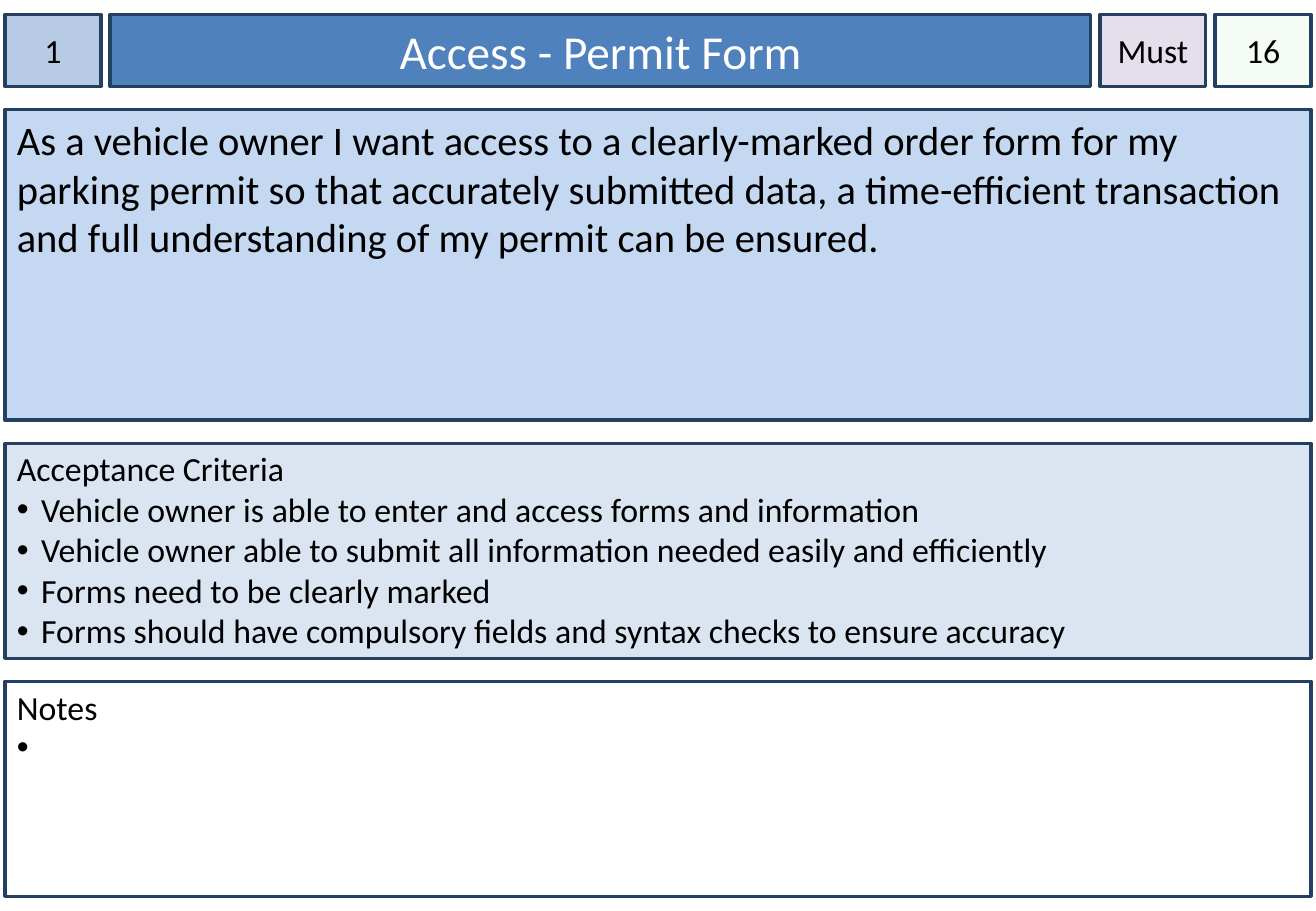
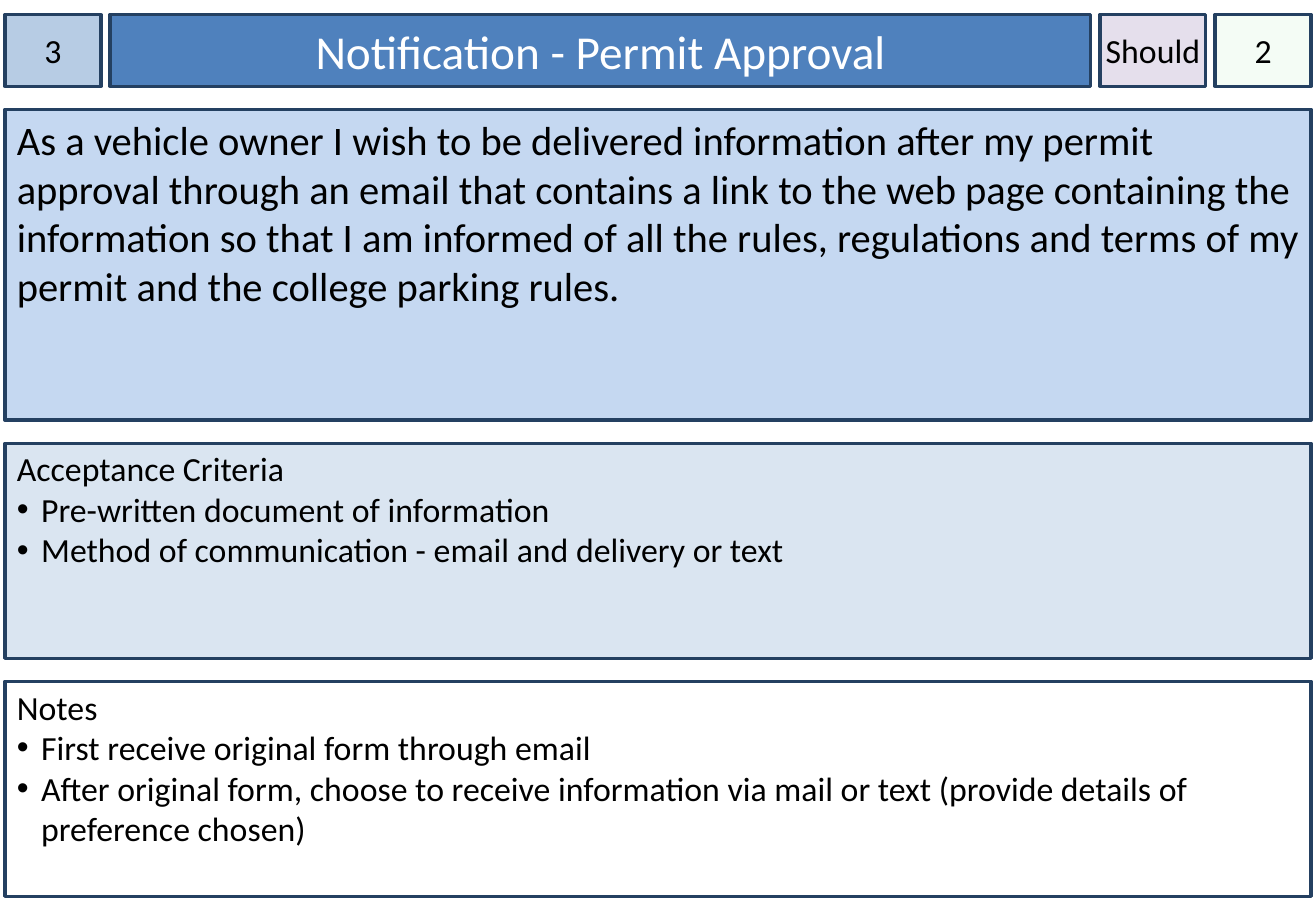
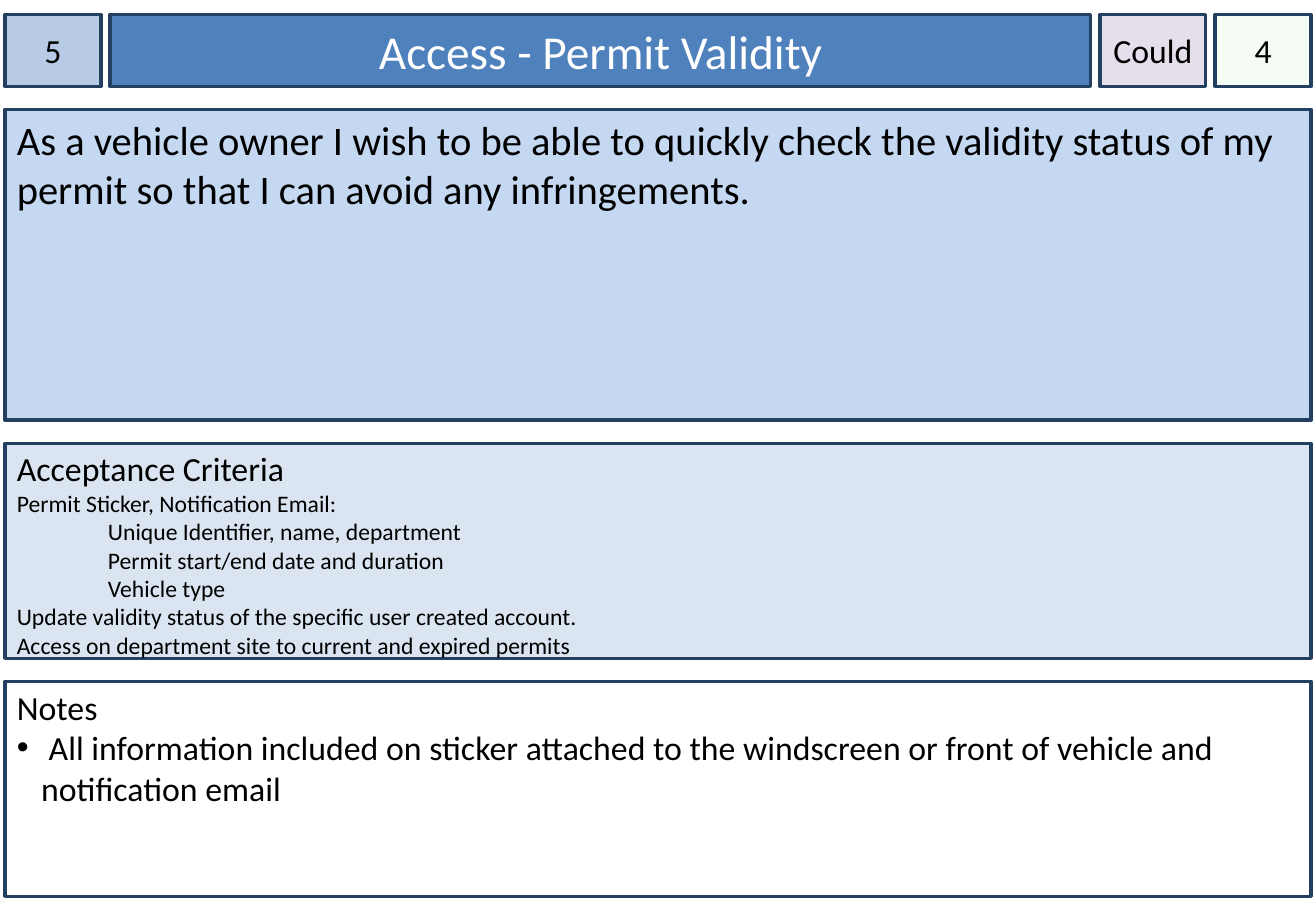
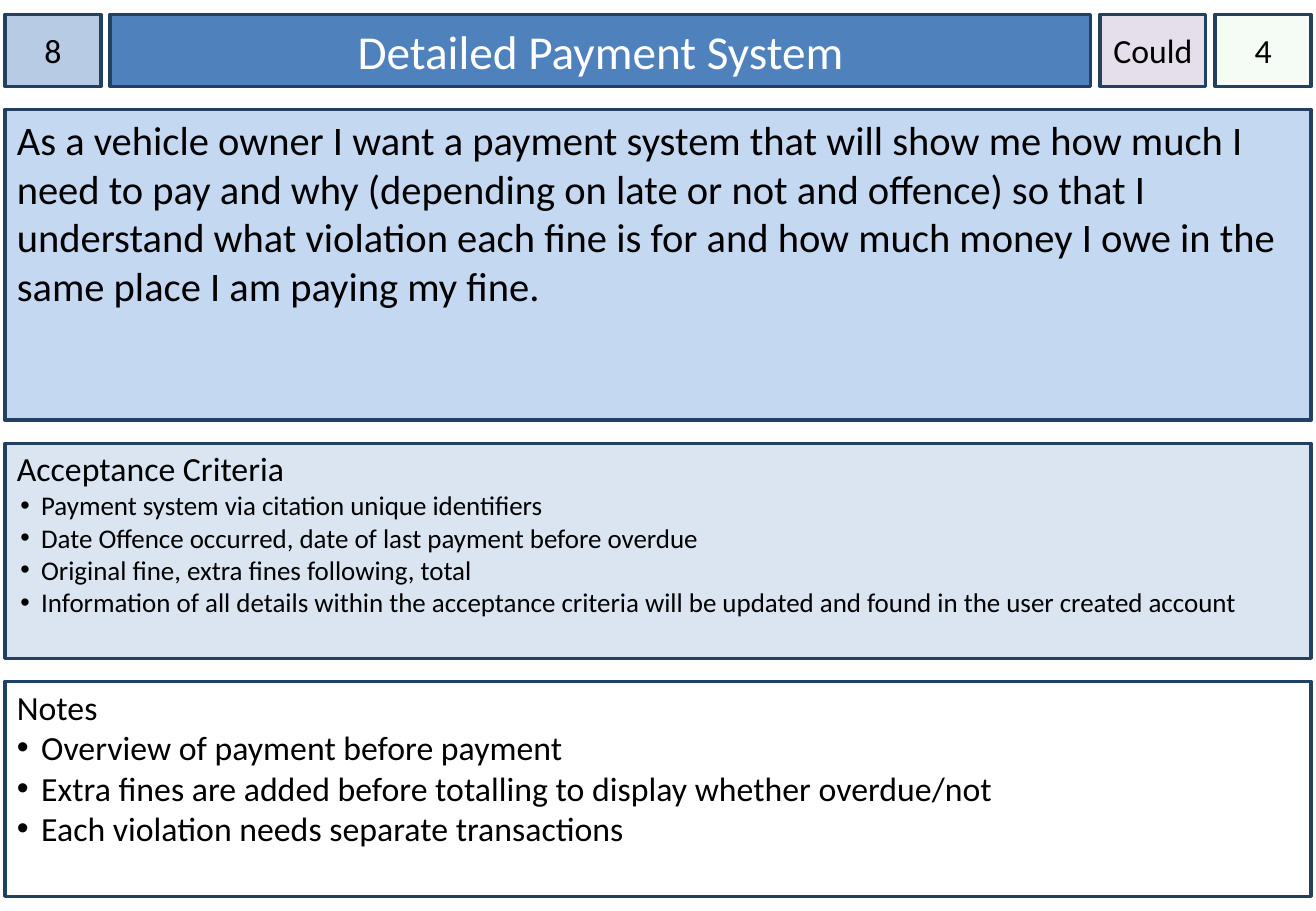
"""Build a deck of user story cards for a parking permit system."""
from dataclasses import dataclass

from lxml import etree
from pptx import Presentation
from pptx.dml.color import RGBColor
from pptx.enum.shapes import MSO_SHAPE
from pptx.enum.text import MSO_ANCHOR, PP_ALIGN
from pptx.oxml.ns import qn
from pptx.util import Inches, Pt

RECTANGLE = MSO_SHAPE.RECTANGLE
TOP, MIDDLE = MSO_ANCHOR.TOP, MSO_ANCHOR.MIDDLE
LEFT, CENTER = PP_ALIGN.LEFT, PP_ALIGN.CENTER


@dataclass(frozen=True)
class Theme:
    font: str = "Calibri"
    ink: str = "000000"
    light: str = "FFFFFF"
    border: str = "244061"
    number: str = "B7CCE4"
    title: str = "4F81BD"
    priority: str = "E5DFEC"
    estimate: str = "CCF0CD"
    estimate_alpha: int = 20
    story: str = "C5D8F1"
    criteria: str = "DAE5F1"
    notes: str = "FFFFFF"
    border_width: float = 2
    title_size: int = 28
    story_size: int = 24
    body_size: int = 20
    small_size: int = 16
    tiny_size: int = 14


THEME = Theme()

BULLET = {"margin": 0.2, "indent": -0.2, "bullet": "•"}
SMALL_BULLET = {**BULLET, "indent": -0.17, "size": THEME.small_size}
PLAIN = {"size": THEME.tiny_size}
NESTED = {**PLAIN, "level": 1, "margin": 1, "indent": -0.25}

CARDS = [
    {
        "number": "1",
        "title": "Access - Permit Form",
        "priority": "Must",
        "estimate": "16",
        "story": "As a vehicle owner I want access to a clearly-marked order form for my "
                 "parking permit so that accurately submitted data, a time-efficient "
                 "transaction and full understanding of my permit can be ensured.",
        "criteria": [
            ("Vehicle owner is able to enter and access forms and information", BULLET),
            ("Vehicle owner able to submit all information needed easily and efficiently", BULLET),
            ("Forms need to be clearly marked", BULLET),
            ("Forms should have compulsory fields and syntax checks to ensure accuracy", BULLET),
        ],
        "notes": [(" ", BULLET)],
    },
    {
        "number": "3",
        "title": "Notification - Permit Approval",
        "priority": "Should",
        "estimate": "2",
        "story": "As a vehicle owner I wish to be delivered information after my permit "
                 "approval through an email that contains a link to the web page containing "
                 "the information so that I am informed of all the rules, regulations and "
                 "terms of my permit and the college parking rules.",
        "criteria": [
            ("Pre-written document of information", BULLET),
            ("Method of communication - email and delivery or text", BULLET),
        ],
        "notes": [
            ("First receive original form through email", BULLET),
            ("After original form, choose to receive information via mail or text "
             "(provide details of preference chosen)", BULLET),
        ],
    },
    {
        "number": "5",
        "title": "Access - Permit Validity",
        "priority": "Could",
        "estimate": "4",
        "story": "As a vehicle owner I wish to be able to quickly check the validity status "
                 "of my permit so that I can avoid any infringements.",
        "criteria": [
            ("Permit Sticker, Notification Email:", PLAIN),
            ("Unique Identifier, name, department", NESTED),
            ("Permit start/end date and duration", NESTED),
            ("Vehicle type", NESTED),
            ("Update validity status of the specific user created account.", PLAIN),
            ("Access on department site to current and expired permits", PLAIN),
        ],
        "notes": [
            (" All information included on sticker attached to the windscreen or front of "
             "vehicle and notification email", BULLET),
        ],
    },
    {
        "number": "8",
        "title": "Detailed Payment System",
        "priority": "Could",
        "estimate": "4",
        "story": "As a vehicle owner I want a payment system that will show me how much I "
                 "need to pay and why (depending on late or not and offence) so that I "
                 "understand what violation each fine is for and how much money I owe in "
                 "the same place I am paying my fine.",
        "criteria": [
            ("Payment system via citation unique identifiers", SMALL_BULLET),
            ("Date Offence occurred, date of last payment before overdue", SMALL_BULLET),
            ("Original fine, extra fines following, total", SMALL_BULLET),
            ("Information of all details within the acceptance criteria will be updated "
             "and found in the user created account", SMALL_BULLET),
        ],
        "notes": [
            ("Overview of payment before payment", BULLET),
            ("Extra fines are added before totalling to display whether overdue/not", BULLET),
            ("Each violation needs separate transactions", BULLET),
        ],
    },
]

SLIDE_WIDTH, SLIDE_HEIGHT = 10.83, 7.5
CARD_LEFT, CARD_TOP, CARD_WIDTH = 0.04, 0.12, 10.75
HEADER_HEIGHT, ROW_GAP = 0.59, 0.19
HEADER_WIDTHS = {"number": 0.79, "title": 8.07, "priority": 0.87, "estimate": 0.79}
SECTION_HEIGHTS = {"story": 2.56, "criteria": 1.77, "notes": 1.77}
SECTION_HEADINGS = {"criteria": "Acceptance Criteria", "notes": "Notes"}


def write(paragraph, text, size=THEME.body_size, color=THEME.ink, align=LEFT,
          level=0, margin=0, indent=0, bullet=None):
    paragraph.alignment = align
    paragraph.level = level
    properties = paragraph._p.get_or_add_pPr()
    properties.set("marL", str(Inches(margin)))
    properties.set("indent", str(Inches(indent)))
    if bullet:
        bullet_color = etree.SubElement(properties, qn("a:buClr"))
        etree.SubElement(bullet_color, qn("a:srgbClr"), val=THEME.ink)
        etree.SubElement(properties, qn("a:buFont"), typeface="Arial")
        etree.SubElement(properties, qn("a:buChar"), char=bullet)
    else:
        etree.SubElement(properties, qn("a:buNone"))
    run = paragraph.add_run()
    run.text = text
    run.font.name = THEME.font
    run.font.size = Pt(size)
    run.font.color.rgb = RGBColor.from_string(color)


def add_panel(slide, box, fill, lines, anchor=TOP, side_inset=0.1, top_inset=0.05, alpha=None):
    panel = slide.shapes.add_shape(RECTANGLE, *(Inches(length) for length in box))
    panel.shadow.inherit = False
    panel.fill.solid()
    panel.fill.fore_color.rgb = RGBColor.from_string(fill)
    if alpha is not None:
        tint = panel._element.spPr.find(qn("a:solidFill")).find(qn("a:srgbClr"))
        etree.SubElement(tint, qn("a:alpha"), val=str(alpha * 1000))
    panel.line.color.rgb = RGBColor.from_string(THEME.border)
    panel.line.width = Pt(THEME.border_width)
    frame = panel.text_frame
    frame.word_wrap = True
    frame.vertical_anchor = anchor
    frame.margin_left = frame.margin_right = Inches(side_inset)
    frame.margin_top, frame.margin_bottom = Inches(top_inset), Inches(0.05)
    for index, (text, style) in enumerate(lines):
        paragraph = frame.add_paragraph() if index else frame.paragraphs[0]
        write(paragraph, text, **style)


def add_header(slide, card):
    gap = (CARD_WIDTH - sum(HEADER_WIDTHS.values())) / (len(HEADER_WIDTHS) - 1)
    left = CARD_LEFT
    for part, width in HEADER_WIDTHS.items():
        style = {"align": CENTER}
        if part == "title":
            style.update(size=THEME.title_size, color=THEME.light)
        add_panel(slide, (left, CARD_TOP, width, HEADER_HEIGHT), getattr(THEME, part),
                  [(card[part], style)], anchor=MIDDLE,
                  side_inset=0.1 if part == "title" else 0,
                  alpha=THEME.estimate_alpha if part == "estimate" else None)
        left += width + gap


def add_sections(slide, card):
    top = CARD_TOP + HEADER_HEIGHT + ROW_GAP
    for part, height in SECTION_HEIGHTS.items():
        if part in SECTION_HEADINGS:
            lines, top_inset = [(SECTION_HEADINGS[part], {}), *card[part]], 0.04
        else:
            lines, top_inset = [(card[part], {"size": THEME.story_size})], 0.05
        add_panel(slide, (CARD_LEFT, top, CARD_WIDTH, height), getattr(THEME, part),
                  lines, top_inset=top_inset)
        top += height + ROW_GAP


def main():
    deck = Presentation()
    deck.slide_width, deck.slide_height = Inches(SLIDE_WIDTH), Inches(SLIDE_HEIGHT)
    blank = deck.slide_layouts[6]
    for card in CARDS:
        slide = deck.slides.add_slide(blank)
        add_header(slide, card)
        add_sections(slide, card)
    deck.save("out.pptx")


if __name__ == "__main__":
    main()
